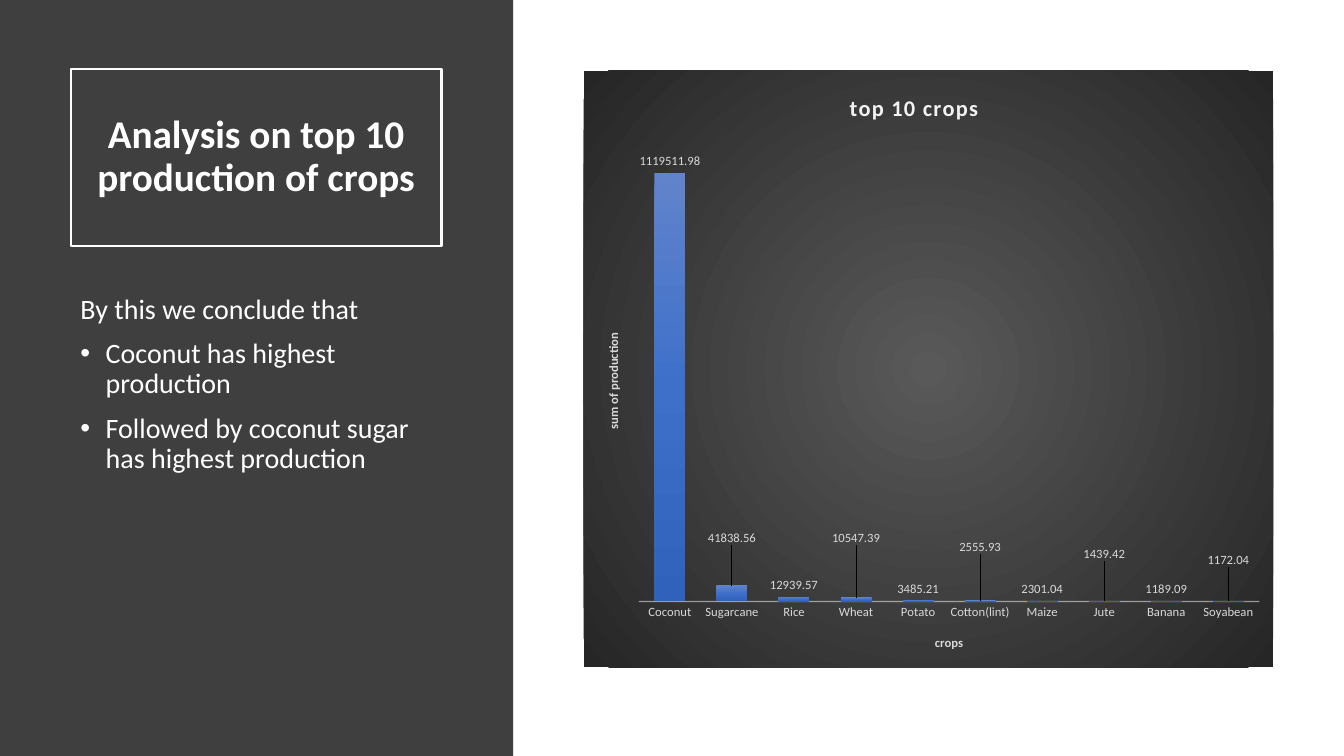
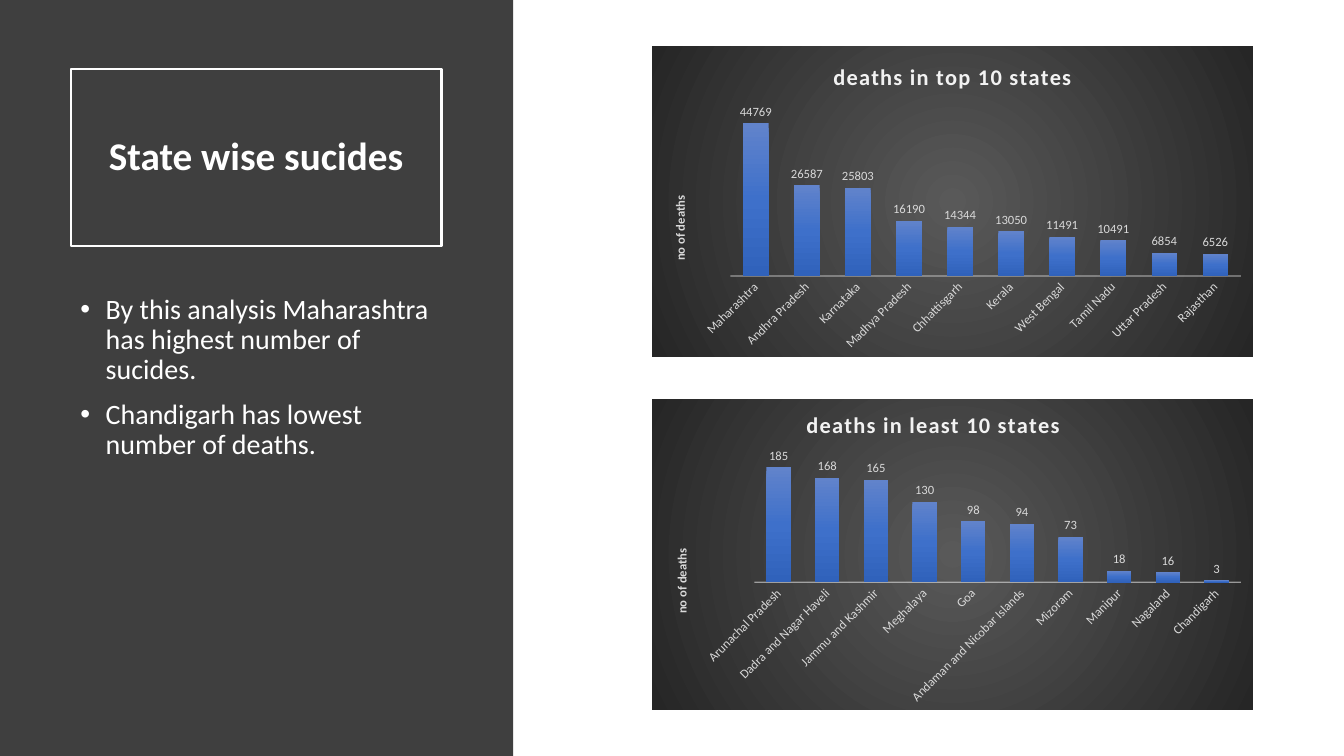
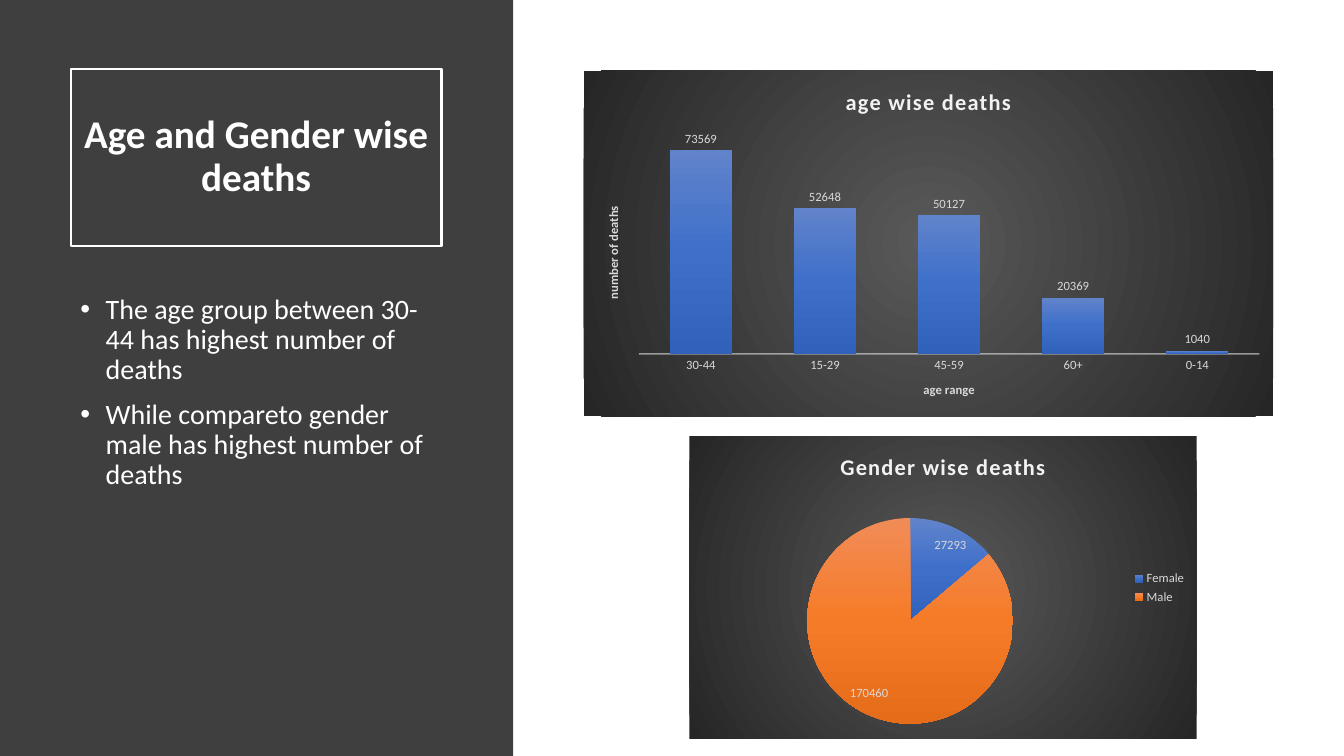
from lxml.etree import SubElement
from pptx import Presentation
from pptx.chart.data import CategoryChartData
from pptx.dml.color import RGBColor
from pptx.enum.chart import XL_CHART_TYPE, XL_LABEL_POSITION, XL_LEGEND_POSITION, XL_TICK_MARK
from pptx.enum.shapes import MSO_SHAPE
from pptx.enum.text import MSO_ANCHOR, MSO_AUTO_SIZE, PP_ALIGN
from pptx.oxml import parse_xml
from pptx.oxml.ns import nsdecls, qn
from pptx.util import Inches, Pt

WIDTH, HEIGHT = Inches(13.333), Inches(7.5)
FONT = "Calibri"
WHITE = RGBColor(0xFF, 0xFF, 0xFF)
CHARCOAL = RGBColor(0x3F, 0x3F, 0x3F)
HEADING = RGBColor(0xF2, 0xF2, 0xF2)
LABEL = RGBColor(0xD9, 0xD9, 0xD9)
BACKDROP = (RGBColor(0x59, 0x59, 0x59), RGBColor(0x26, 0x26, 0x26))
BLUES = (RGBColor(0x61, 0x83, 0xCB), RGBColor(0x3E, 0x70, 0xCA), RGBColor(0x30, 0x62, 0xBB))
ORANGES = (RGBColor(0xF1, 0x8C, 0x57), RGBColor(0xF6, 0x7B, 0x28), RGBColor(0xE5, 0x6C, 0x19))
DOWNWARD = '<a:lin ang="5400000" scaled="0"/>'
OUTWARD = ('<a:path path="circle"><a:fillToRect l="50000" t="50000" '
           'r="50000" b="50000"/></a:path>')

PANEL = (0, 0, 38.18, 100)
TITLE_BOX = (5.25, 9.07, 27.6, 23.47)
FINDINGS_BOX = (5.25, 38.4, 27.6, 49.87)
TALL_CHART = (43.43, 9.33, 51.3, 78.93)
UPPER_CHART = (48.53, 6.13, 44.7, 41.07)
LOWER_CHART = (48.53, 52.8, 44.7, 41.07)
AGE_CHART = (43.43, 9.33, 51.3, 45.73)
GENDER_CHART = (51.3, 57.73, 37.73, 40)


def area(box):
    """Turn percentages of the slide's size into left, top, width and height."""
    return [int(side * share / 100) for side, share in zip((WIDTH, HEIGHT) * 2, box)]


def write(paragraph, text, size=20, color=WHITE, bold=False, align=None,
          leading=None, before=None, bullet=False):
    """Write formatted text into a paragraph."""
    run = paragraph.add_run()
    run.text = text
    run.font.name, run.font.size, run.font.bold = FONT, Pt(size), bold
    run.font.color.rgb = color
    paragraph.alignment = align
    paragraph.line_spacing = leading
    paragraph.space_before = None if before is None else Pt(before)
    if bullet:
        properties = paragraph._p.get_or_add_pPr()
        properties.set("marL", str(Inches(0.25)))
        properties.set("indent", str(-Inches(0.25)))
        SubElement(properties, qn("a:buFont")).set("typeface", "Arial")
        SubElement(properties, qn("a:buChar")).set("char", "•")


def style_font(font, size, color):
    """Format the font of a chart part."""
    font.name, font.size = FONT, Pt(size)
    font.color.rgb = color


def gradient(colors, direction):
    """Return the XML of an evenly spaced gradient."""
    stops = "".join(
        f'<a:gs pos="{100000 * i // (len(colors) - 1)}"><a:srgbClr val="{color}"/></a:gs>'
        for i, color in enumerate(colors))
    return (f'<a:gradFill {nsdecls("a")} rotWithShape="1"><a:gsLst>{stops}</a:gsLst>'
            f'{direction}</a:gradFill>')


def set_layout(part, index, shares, prefix=()):
    """Place a chart part by shares of the chart's size."""
    for old in part.findall(qn("c:layout")):
        part.remove(old)
    values = [*prefix, *zip("xywh", shares)]
    settings = "".join(f'<c:{key} val="{value}"/>' for key, value in values)
    part.insert(index, parse_xml(
        f'<c:layout {nsdecls("c")}><c:manualLayout>{settings}</c:manualLayout></c:layout>'))


def add_story(deck, title, findings, intro=None):
    """Add a slide with the dark panel, boxed title and findings."""
    slide = deck.slides.add_slide(deck.slide_layouts[5])
    heading = slide.shapes.title
    heading.left, heading.top, heading.width, heading.height = area(TITLE_BOX)
    heading.line.color.rgb, heading.line.width = WHITE, Pt(1.5)
    frame = heading.text_frame
    frame.auto_size, frame.word_wrap = MSO_AUTO_SIZE.NONE, True
    frame.vertical_anchor = MSO_ANCHOR.MIDDLE
    write(frame.paragraphs[0], title, size=28, bold=True, align=PP_ALIGN.CENTER, leading=0.9)

    panel = slide.shapes.add_shape(MSO_SHAPE.RECTANGLE, *area(PANEL))
    panel.shadow.inherit = False
    panel.fill.solid()
    panel.fill.fore_color.rgb = CHARCOAL
    panel.line.fill.background()
    heading.element.addprevious(panel.element)

    frame = slide.shapes.add_textbox(*area(FINDINGS_BOX)).text_frame
    frame.word_wrap = True
    lines = ([(intro, False)] if intro else []) + [(finding, True) for finding in findings]
    for i, (line, bullet) in enumerate(lines):
        paragraph = frame.add_paragraph() if i else frame.paragraphs[0]
        write(paragraph, line, leading=0.9, before=10, bullet=bullet)
    return slide


def add_chart(slide, kind, box, title, figures, plot_at, title_at=None, number_format="General"):
    """Add a titled one-series chart on the dark backdrop."""
    data = CategoryChartData(number_format=number_format)
    data.categories = list(figures)
    data.add_series("Series 1", list(figures.values()))
    chart = slide.shapes.add_chart(kind, *area(box), data).chart
    style_font(chart.font, 10, WHITE)
    chart.has_legend = False
    chart.has_title = True
    write(chart.chart_title.text_frame.paragraphs[0], title, size=16, color=HEADING, bold=True)
    for properties in chart.element.xpath("c:chart/c:title//a:rPr"):
        properties.set("spc", "100")
    if title_at:
        set_layout(chart.element.xpath("c:chart/c:title")[0], 1, title_at,
                   [("xMode", "edge"), ("yMode", "edge")])
    set_layout(chart.element.xpath("c:chart/c:plotArea")[0], 0, plot_at,
               [("layoutTarget", "inner"), ("xMode", "edge"), ("yMode", "edge")])
    chart.element.find(qn("c:txPr")).addprevious(parse_xml(
        f'<c:spPr {nsdecls("c", "a")}>{gradient(BACKDROP, OUTWARD)}'
        '<a:ln><a:noFill/></a:ln></c:spPr>'))
    labels = chart.plots[0].series[0].data_labels
    labels.show_value = True
    labels.number_format, labels.number_format_is_linked = number_format, False
    style_font(labels.font, 9, LABEL)
    return chart


def paint(chart, parts, palettes):
    """Give each series or point its gradient."""
    for part in parts:
        part.format.fill.gradient()
    for fill, palette in zip(chart.element.xpath(".//c:ser//a:gradFill"), palettes):
        fill.getparent().replace(fill, parse_xml(gradient(palette, DOWNWARD)))


def add_axis_title(axis, text):
    """Title an axis in small bold type."""
    write(axis.axis_title.text_frame.paragraphs[0], text, size=9, color=LABEL, bold=True)


def add_columns(slide, box, title, figures, plot_at, value_title,
                category_title=None, slanted=False, **options):
    """Add a column chart with labelled columns and a hidden value axis."""
    chart = add_chart(slide, XL_CHART_TYPE.COLUMN_CLUSTERED, box, title, figures,
                      plot_at, **options)
    plot = chart.plots[0]
    plot.vary_by_categories = False
    plot.gap_width, plot.overlap = 100, -24
    series = plot.series[0]
    series.data_labels.position = XL_LABEL_POSITION.OUTSIDE_END
    paint(chart, [series], [BLUES])

    values, categories = chart.value_axis, chart.category_axis
    values.visible = values.has_major_gridlines = False
    add_axis_title(values, value_title)
    chart.element.xpath(".//c:valAx/c:title//a:bodyPr")[0].set("rot", "-5400000")
    categories.major_tick_mark = XL_TICK_MARK.NONE
    style_font(categories.tick_labels.font, 9, LABEL)
    categories.format.line.color.rgb, categories.format.line.width = HEADING, Pt(1)
    line_color = chart.element.xpath(".//c:catAx/c:spPr//a:srgbClr")[0]
    SubElement(line_color, qn("a:alpha")).set("val", "54000")
    if category_title:
        add_axis_title(categories, category_title)
    if slanted:
        chart.element.xpath(".//c:catAx/c:txPr/a:bodyPr")[0].set("rot", "-2700000")
    return chart


def lift_labels(chart, lifts):
    """Raise chosen column labels by shares of the chart's height."""
    for index in lifts:
        label = chart.plots[0].series[0].points[index].data_label
        style_font(label.font, 9, LABEL)
        label.position = XL_LABEL_POSITION.OUTSIDE_END
    for label, lift in zip(chart.element.xpath(".//c:dLbl"), lifts.values()):
        set_layout(label, 1, (0, -lift))


def add_pie(slide, box, title, figures, plot_at, palettes):
    """Add a pie chart with a legend on the right."""
    chart = add_chart(slide, XL_CHART_TYPE.PIE, box, title, figures, plot_at)
    chart.plots[0].vary_by_categories = True
    series = chart.plots[0].series[0]
    series.data_labels.position = XL_LABEL_POSITION.BEST_FIT
    paint(chart, [series.points[i] for i in range(len(figures))], palettes)
    chart.has_legend = True
    chart.legend.position = XL_LEGEND_POSITION.RIGHT
    chart.legend.include_in_layout = False
    style_font(chart.legend.font, 9, LABEL)


def main():
    """Build and save the deck."""
    deck = Presentation()
    deck.slide_width, deck.slide_height = WIDTH, HEIGHT

    crops = add_story(deck, "Analysis on top 10 production of crops",
                      ["Coconut has highest production",
                       "Followed by coconut sugar has highest production"],
                      intro="By this we conclude that")
    production = add_columns(
        crops, TALL_CHART, "top 10 crops",
        {"Coconut": 1119511.98, "Sugarcane": 41838.56, "Rice": 12939.57, "Wheat": 10547.39,
         "Potato": 3485.21, "Cotton(lint)": 2555.93, "Maize": 2301.04, "Jute": 1439.42,
         "Banana": 1189.09, "Soyabean": 1172.04},
        (0.08, 0.12, 0.9, 0.77), "sum of production", "crops",
        title_at=(0.38, 0.03), number_format="0.00")
    lift_labels(production, {1: 0.06, 3: 0.08, 5: 0.07, 7: 0.06, 9: 0.05})

    states = add_story(deck, "State wise sucides",
                       ["By this analysis Maharashtra has highest number of sucides.",
                        "Chandigarh has lowest number of deaths."])
    add_columns(
        states, UPPER_CHART, "deaths in top 10 states",
        {"Maharashtra": 44769, "Andhra Pradesh": 26587, "Karnataka": 25803,
         "Madhya Pradesh": 16190, "Chhattisgarh": 14344, "Kerala": 13050,
         "West Bengal": 11491, "Tamil Nadu": 10491, "Uttar Pradesh": 6854, "Rajasthan": 6526},
        (0.13, 0.19, 0.85, 0.55), "no of deaths", slanted=True)
    add_columns(
        states, LOWER_CHART, "deaths in least 10 states",
        {"Arunachal Pradesh": 185, "Dadra and Nagar Haveli": 168, "Jammu and Kashmir": 165,
         "Meghalaya": 130, "Goa": 98, "Andaman and Nicobar Islands": 94, "Mizoram": 73,
         "Manipur": 18, "Nagaland": 16, "Chandigarh": 3},
        (0.17, 0.19, 0.81, 0.4), "no of deaths", slanted=True, title_at=(0.25, 0.02))

    people = add_story(deck, "Age and Gender wise deaths",
                       ["The age group between 30-44 has highest number of deaths",
                        "While compareto gender male has highest number of deaths"])
    add_columns(
        people, AGE_CHART, "age wise deaths",
        {"30-44": 73569, "15-29": 52648, "45-59": 50127, "60+": 20369, "0-14": 1040},
        (0.08, 0.18, 0.9, 0.64), "number of deaths", "age range")
    add_pie(people, GENDER_CHART, "Gender wise deaths", {"Female": 27293, "Male": 170460},
            (0.23, 0.27, 0.41, 0.68), [BLUES, ORANGES])

    deck.save("out.pptx")


main()
